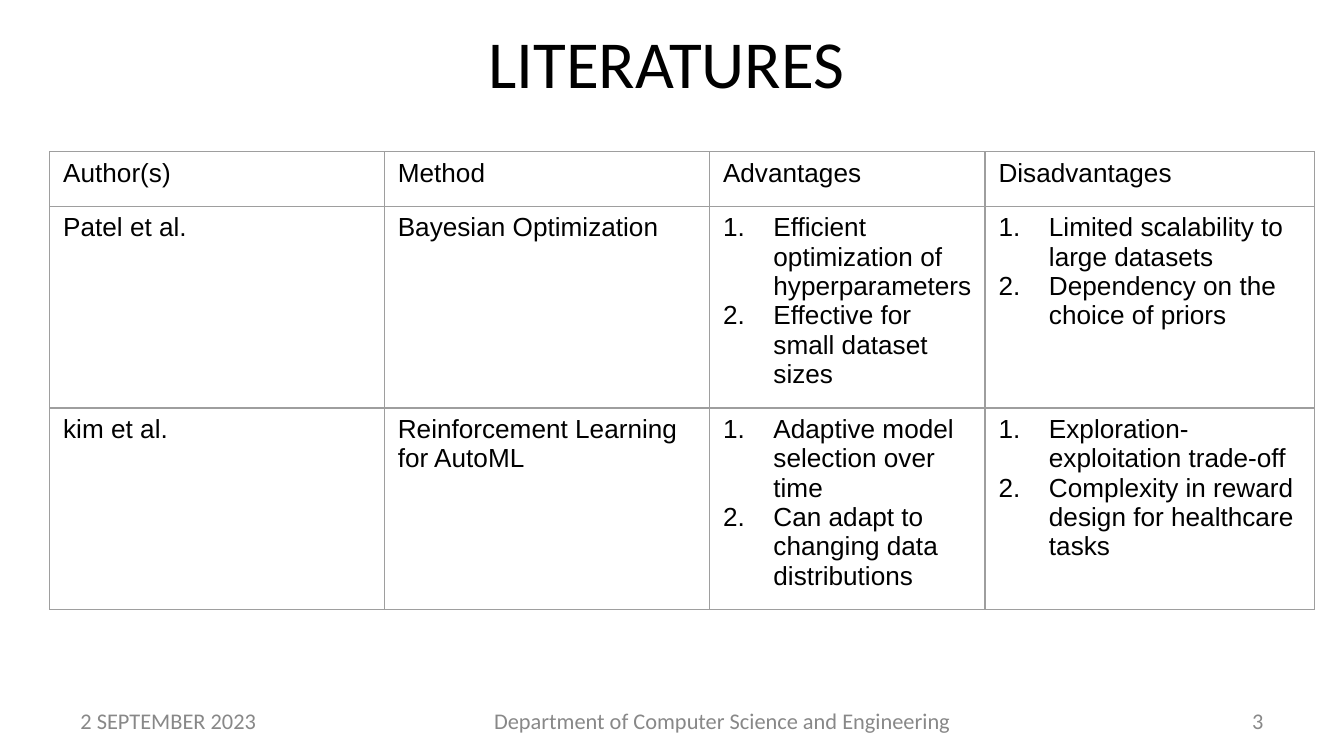
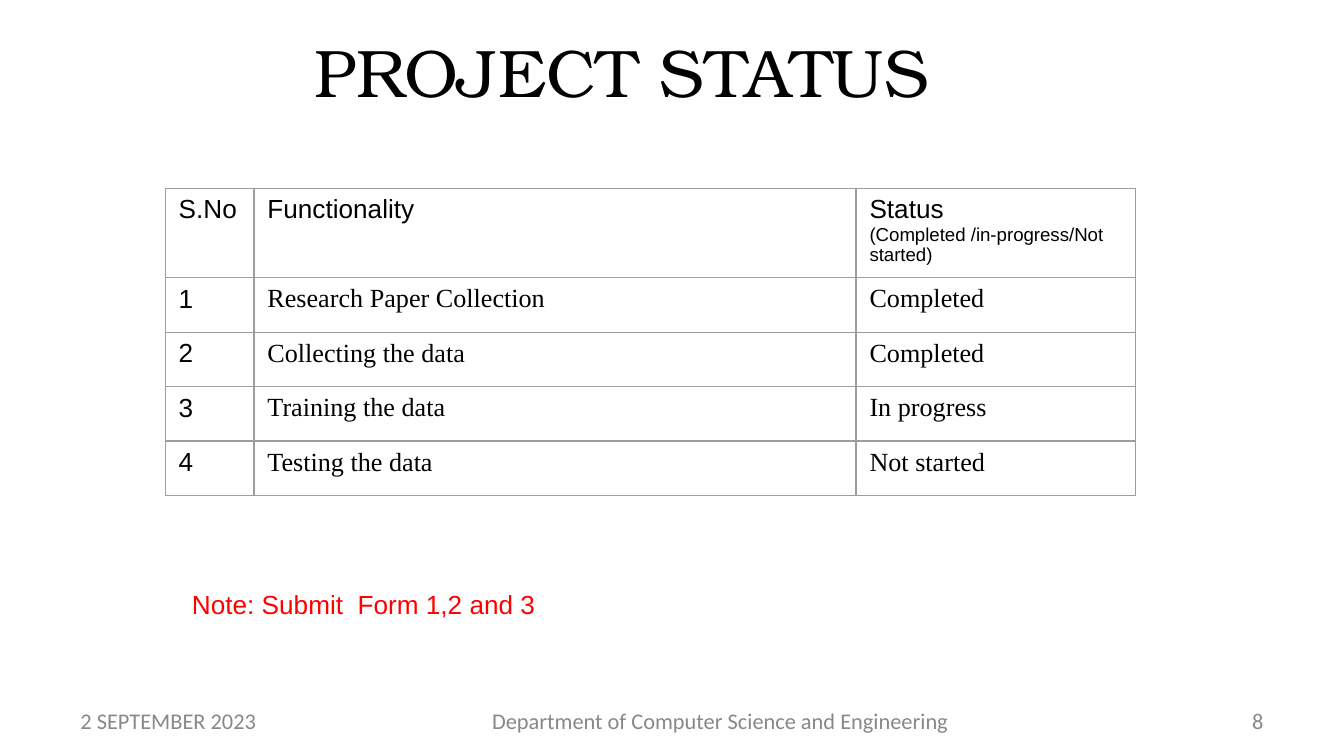
from lxml import etree
from pptx import Presentation
from pptx.dml.color import RGBColor
from pptx.enum.text import MSO_ANCHOR, MSO_AUTO_SIZE, PP_ALIGN
from pptx.oxml.ns import qn
from pptx.util import Emu, Pt

# Shared style: 200 px to the inch
SCALE = 4572
BLACK = RGBColor(0x00, 0x00, 0x00)
GREY = RGBColor(0x88, 0x88, 0x88)
RED = RGBColor(0xFF, 0x00, 0x00)
EDGE = RGBColor(0x9E, 0x9E, 0x9E)
SANS, SERIF = "Arial", "Times New Roman"
HEAD, BOOK = "Calibri", "TeX Gyre Bonum"
LEFT, MID, RIGHT = PP_ALIGN.LEFT, PP_ALIGN.CENTER, PP_ALIGN.RIGHT
CENTER, TOP = MSO_ANCHOR.MIDDLE, MSO_ANCHOR.TOP
GROW = MSO_AUTO_SIZE.SHAPE_TO_FIT_TEXT
INDENT = 75


def px(n):
    return Emu(n * SCALE)


class Deck:
    def __init__(self, wide, high):
        self.prs = Presentation()
        self.prs.slide_width, self.prs.slide_height = px(wide), px(high)
        self.slide = None

    def start(self):
        self.slide = self.prs.slides.add_slide(self.prs.slide_layouts[6])

    def run(self, para, text, size=14, font=SANS, color=BLACK):
        run = para.add_run()
        run.text = text
        run.font.size, run.font.name = Pt(size), font
        run.font.color.rgb = color

    def text(self, box, text, size, font, color, align=LEFT, anchor=CENTER):
        frame = self.slide.shapes.add_textbox(*map(px, box)).text_frame
        frame.word_wrap = True
        frame.vertical_anchor = anchor
        para = frame.paragraphs[0]
        para.alignment = align
        self.run(para, text, size, font, color)
        return frame

    def title(self, left, top, text, font):
        self.text((left, top, 1338, 138), text, 36, font, BLACK, MID)

    def note(self, box, text):
        self.text(box, text, 14, SANS, RED, anchor=TOP).auto_size = GROW

    def footer(self, page, width):
        for left, wide, text, align in (
            (100, 466, "2 SEPTEMBER 2023", LEFT),
            (684, width, "Department of Computer Science and Engineering", MID),
            (1434, 466, page, RIGHT),
        ):
            self.text((left, 1042, wide, 60), text, 12, HEAD, GREY, align)

    def number(self, para):
        props = para._p.get_or_add_pPr()
        props.set("marL", str(px(INDENT)))
        props.set("indent", str(px(-INDENT)))
        tint = etree.SubElement(props, qn("a:buClr"))
        etree.SubElement(tint, qn("a:srgbClr"), val=str(BLACK))
        etree.SubElement(props, qn("a:buAutoNum"), type="arabicPeriod")

    def border(self, cell):
        props = cell._tc.get_or_add_tcPr()
        for i, side in enumerate(("lnL", "lnR", "lnT", "lnB")):
            line = etree.Element(qn("a:" + side), w=str(Pt(0.75)))
            fill = etree.SubElement(line, qn("a:solidFill"))
            etree.SubElement(fill, qn("a:srgbClr"), val=str(EDGE))
            props.insert(i, line)

    def cell(self, cell, item, font):
        """A list becomes numbered lines; a tuple is a heading and its hint."""
        cell.fill.background()
        self.border(cell)
        lines = [item] if isinstance(item, str) else item
        for i, line in enumerate(lines):
            frame = cell.text_frame
            para = frame.add_paragraph() if i else frame.paragraphs[0]
            if isinstance(item, list):
                self.number(para)
            hint = isinstance(item, tuple) and i > 0
            self.run(para, line, 10 if hint else 14, font)

    def table(self, left, top, cols, rows, data, body=SANS):
        box = (left, top, sum(cols), sum(rows))
        grid = self.slide.shapes.add_table(
            len(rows), len(cols), *map(px, box)).table
        grid.first_row = grid.horz_banding = False
        for col, wide in zip(grid.columns, cols):
            col.width = px(wide)
        for row, high in zip(grid.rows, rows):
            row.height = px(high)
        for r, line in enumerate(data):
            for c, item in enumerate(line):
                self.cell(grid.cell(r, c), item, body if r and c else SANS)


PAPERS = [
    ("Author(s)", "Method", "Advantages", "Disadvantages"),
    ("Patel et al.", "Bayesian Optimization",
     ["Efficient optimization of hyperparameters",
      "Effective for small dataset sizes"],
     ["Limited scalability to large datasets",
      "Dependency on the choice of priors"]),
    ("kim et al.", "Reinforcement Learning for AutoML",
     ["Adaptive model selection over time",
      "Can adapt to changing data distributions"],
     ["Exploration-exploitation trade-off",
      "Complexity in reward design for healthcare tasks"]),
]
TASKS = [
    ("S.No", "Functionality",
     ("Status", "(Completed /in-progress/Not started)")),
    ("1", "Research Paper Collection", "Completed"),
    ("2", "Collecting the data", "Completed"),
    ("3", "Training the data", "In progress"),
    ("4", "Testing the data", "Not started"),
]


def main():
    deck = Deck(2000, 1125)

    # Literature table
    deck.start()
    deck.title(334, 22, "LITERATURES ", HEAD)
    deck.table(74, 226, (498, 484, 410, 490), (81, 282, 282), PAPERS)
    deck.footer("3", 782)

    # Project status
    deck.start()
    deck.title(256, 36, "PROJECT STATUS", BOOK)
    deck.table(246, 280, (132, 896, 416), [125] + [81] * 4, TASKS, SERIF)
    deck.note((266, 866, 660, 68), "Note: Submit  Form 1,2 and 3")
    deck.footer("8", 776)

    deck.prs.save("out.pptx")


if __name__ == "__main__":
    main()
